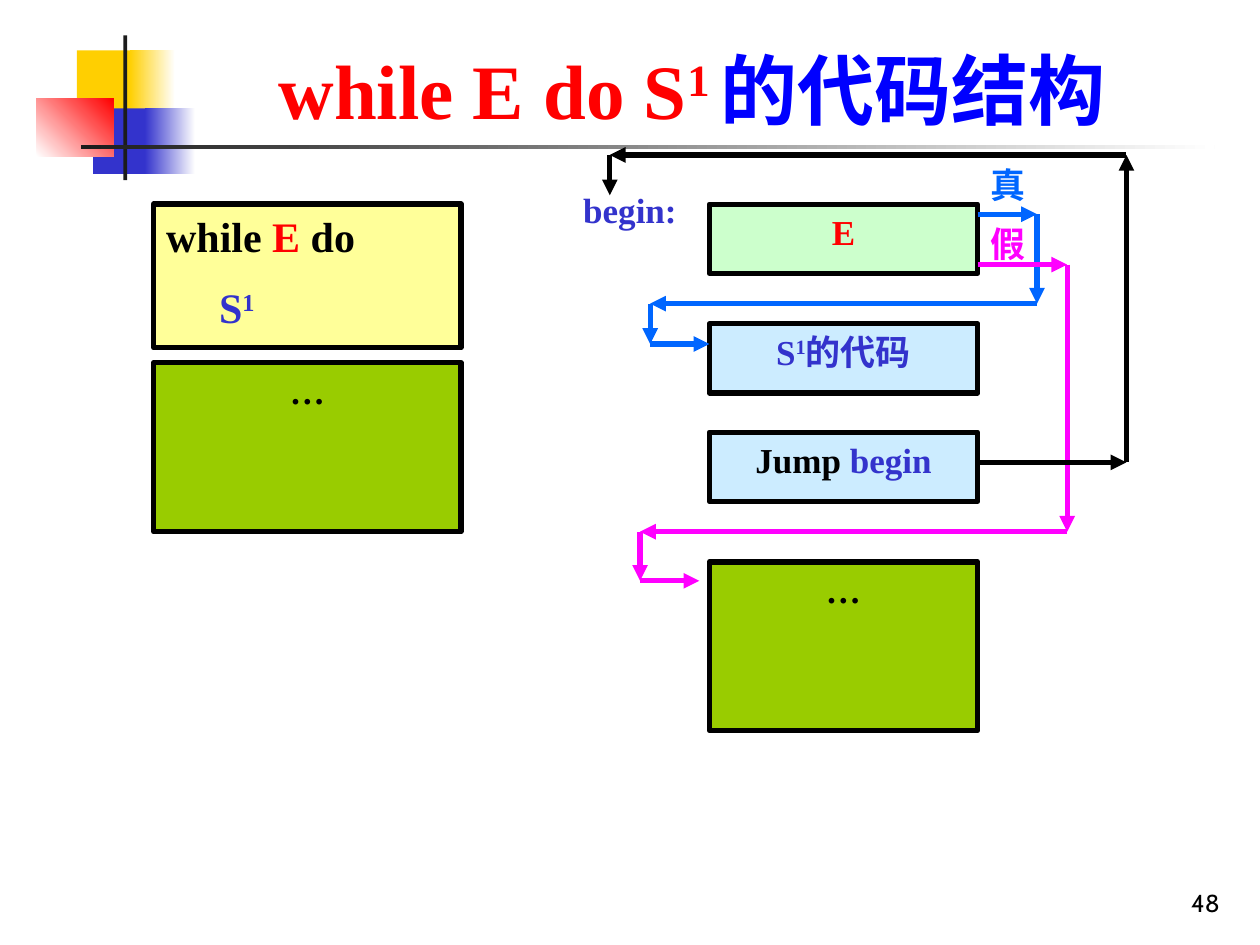
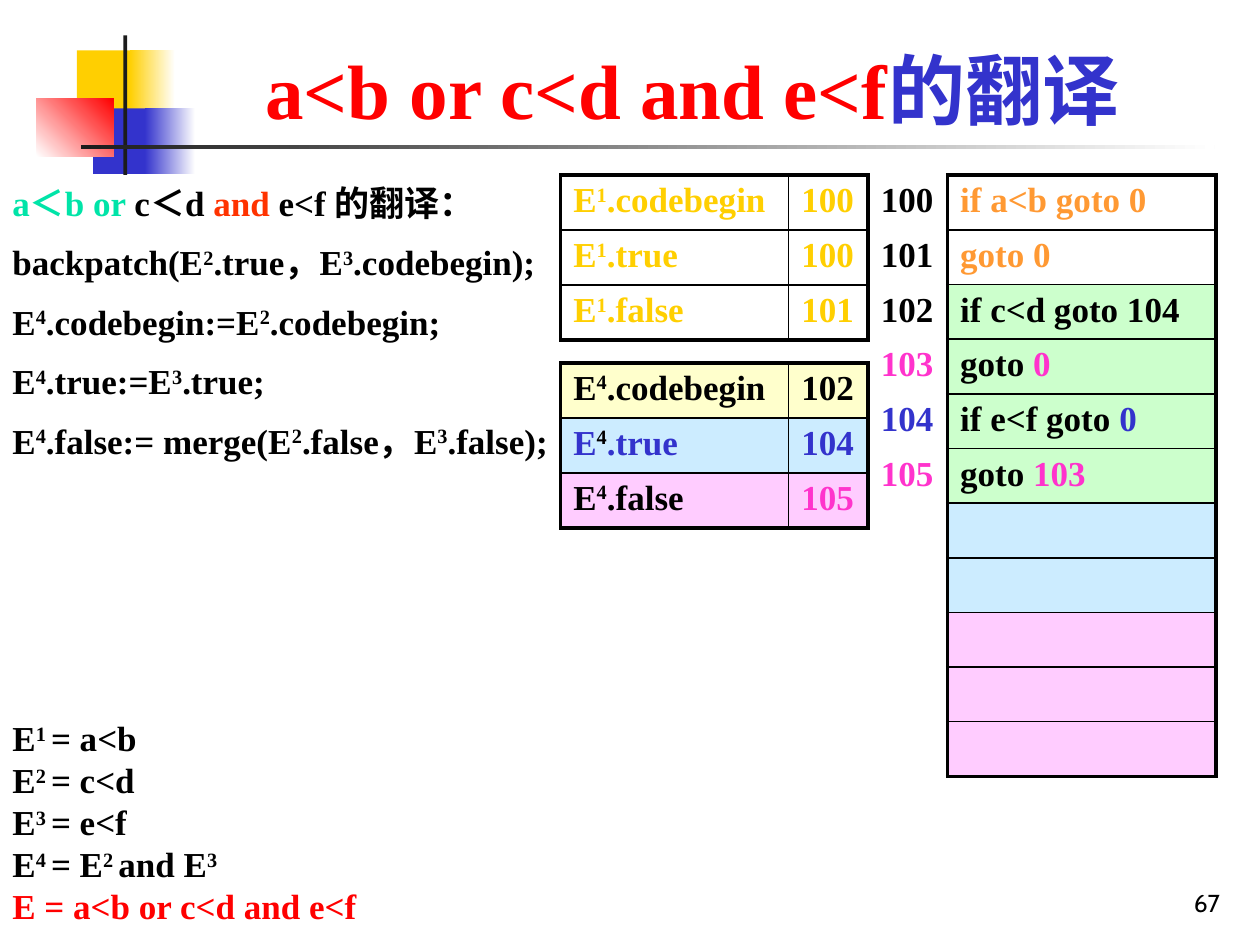
from dataclasses import dataclass, field
from itertools import pairwise

from lxml.etree import SubElement
from pptx import Presentation
from pptx.dml.color import RGBColor
from pptx.enum.shapes import MSO_CONNECTOR, MSO_SHAPE
from pptx.enum.text import MSO_ANCHOR, PP_ALIGN
from pptx.oxml.ns import qn
from pptx.util import Inches, Pt


@dataclass(frozen=True)
class Theme:
    """Colours, fonts, type sizes and line widths."""
    ink: dict[str, str] = field(default_factory=lambda: {
        "black": "000000", "white": "FFFFFF", "coal": "1C1C1C",
        "red": "FF0000", "flame": "FF3300", "blue": "3333CC",
        "bright": "0000FF", "sky": "0066FF", "pink": "FF00FF",
        "rose": "FF33CC", "gold": "FFCF01", "orange": "FF9933",
        "mint": "00E4A8", "grass": "99CC00", "lemon": "FFFF99",
        "cream": "FFFFCC", "ice": "CCECFF", "leaf": "CCFFCC",
        "blush": "FFCCFF"})
    serif: str = "Times New Roman"
    sans: str = "Cabin"
    title: int = 44
    code: int = 24
    body: int = 20
    page: int = 14
    thick: float = 3
    frame: float = 2.25
    thin: float = 1


THEME = Theme()


@dataclass(frozen=True)
class Area:
    """A place on the slide, in inches."""
    left: float
    top: float
    width: float
    height: float

    def emu(self) -> list:
        """Give the place as lengths."""
        return [Inches(v) for v in (self.left, self.top, self.width, self.height)]


@dataclass(frozen=True)
class Style:
    """How a piece of text is set."""
    size: int = THEME.body
    align: PP_ALIGN = PP_ALIGN.LEFT
    anchor: MSO_ANCHOR = MSO_ANCHOR.TOP
    font: str = THEME.serif
    bold: bool = True
    wrap: bool = True
    gap: float = 0
    hang: float = 0
    steps: tuple = ()


@dataclass(frozen=True)
class Band:
    """A plain or fading bar of the backdrop."""
    area: Area
    start: str
    end: str = ""
    angle: int = 0


@dataclass(frozen=True)
class Block:
    """A framed box of code."""
    area: Area
    fill: str
    lines: tuple[str, ...]
    style: Style


@dataclass(frozen=True)
class Route:
    """A chain of arrows through points."""
    ink: str
    points: tuple[tuple[float, float], ...]


@dataclass(frozen=True)
class Row:
    """A table row: one fill and text per column."""
    fills: tuple[str, ...]
    texts: tuple[str, ...]


@dataclass(frozen=True)
class Grid:
    """A table whose frame starts at one column."""
    area: Area
    widths: tuple[float, ...]
    rows: tuple[Row, ...]
    first: int = 0


MID = Style(align=PP_ALIGN.CENTER)
TAG = Style(align=PP_ALIGN.CENTER, anchor=MSO_ANCHOR.MIDDLE, wrap=False)
HEAD = Style(THEME.title, PP_ALIGN.CENTER, MSO_ANCHOR.BOTTOM)
PAGE = Style(THEME.page, PP_ALIGN.RIGHT, MSO_ANCHOR.BOTTOM, THEME.sans, False)

BANDS = (
    Band(Area(0.61, 0.4, 0.48, 0.52), "gold"),
    Band(Area(1.03, 0.4, 0.36, 0.52), "gold", "white"),
    Band(Area(0.74, 0.86, 0.46, 0.52), "blue"),
    Band(Area(1.15, 0.86, 0.4, 0.52), "blue", "white"),
    Band(Area(0.29, 0.78, 0.61, 0.46), "white", "red", 45),
    Band(Area(0.98, 0.28, 0.03, 1.15), "coal"),
    Band(Area(0.64, 1.15, 9, 0.03), "coal", "white"),
)

BLOCKS = (
    Block(Area(5.63, 2.57, 2.13, 0.55), "ice", ("{blue}S^1^的代码",), MID),
    Block(Area(5.63, 1.62, 2.13, 0.55), "leaf", ("{red}E",), MID),
    Block(Area(5.63, 3.43, 2.13, 0.55), "ice", ("{black}Jump {blue}begin",), MID),
    Block(Area(1.22, 1.62, 2.44, 1.14), "lemon",
          ("{black}while {red}E {black}do", "{blue}S^1^"),
          Style(THEME.code, gap=12, steps=(0, 0.42))),
    Block(Area(5.63, 4.46, 2.13, 1.34), "grass", ("{black}…",), MID),
    Block(Area(1.22, 2.88, 2.44, 1.34), "grass", ("{black}…",), MID),
)

ROUTES = (
    Route("sky", ((7.76, 1.7), (8.23, 1.7), (8.23, 2.41), (5.16, 2.41),
                  (5.16, 2.73), (5.63, 2.73))),
    Route("pink", ((7.76, 2.1), (8.47, 2.1), (8.47, 4.22), (5.08, 4.22),
                   (5.08, 4.61), (5.55, 4.61))),
    Route("black", ((7.76, 3.67), (8.94, 3.67), (8.94, 1.23), (4.84, 1.23),
                    (4.84, 1.55))),
)

TAGS = (
    ("{blue}begin:", Area(4.53, 1.39, 0.94, 0.55)),
    ("{sky}真", Area(7.76, 1.23, 0.47, 0.47)),
    ("{pink}假", Area(7.76, 1.7, 0.47, 0.47)),
)

RULES = (
    "{mint}a＜b or {black}c＜d {flame}and {black}e<f 的翻译：",
    "{black}backpatch(E^2^.true，E^3^.codebegin);",
    "{black}E^4^.codebegin:=E^2^.codebegin;",
    "{black}E^4^.true:=E^3^.true;",
    "{black}E^4^.false:= merge(E^2^.false，E^3^.false);",
)

TERMS = (
    "{black}E^1 ^= a<b", "{black}E^2 ^= c<d", "{black}E^3 ^= e<f",
    "{black}E^4 ^= E^2 ^and E^3^", "{red}E = a<b or c<d and e<f",
)

CODE = (
    ("white", "{black}100", "{orange}if a<b goto 0"),
    ("white", "{black}101", "{orange}goto 0"),
    ("leaf", "{black}102", "{black}if c<d goto 104"),
    ("leaf", "{rose}103", "{black}goto {rose}0"),
    ("leaf", "{blue}104", "{black}if e<f goto {blue}0"),
    ("leaf", "{rose}105", "{black}goto {rose}103"),
    *(("ice", "", ""),) * 2,
    *(("blush", "", ""),) * 3,
)

PAIR = (1.81, 0.63)
GRIDS = (
    Grid(Area(6.89, 1.39, 2.76, 4.77), (0.63, 2.13),
         tuple(Row(("white", fill), (spot, text)) for fill, spot, text in CODE), 1),
    Grid(Area(4.45, 1.39, 2.44, 1.31), PAIR, tuple(
        Row(("white",) * 2, (f"{{gold}}E^1^.{name}", f"{{gold}}{spot}"))
        for name, spot in (("codebegin", 100), ("true", 100), ("false", 101)))),
    Grid(Area(4.45, 2.88, 2.44, 1.31), PAIR, (
        Row(("cream",) * 2, ("{black}E^4^.codebegin", "{black}102")),
        Row(("ice",) * 2, ("{blue}E{black}^4^{blue}.true", "{blue}104")),
        Row(("blush",) * 2, ("{black}E^4^.false", "{rose}105")))),
)


def tint(name: str) -> RGBColor:
    """Look up a colour of the theme."""
    return RGBColor.from_string(THEME.ink[name])


def write(frame, lines: tuple[str, ...], style: Style) -> None:
    """Set lines where {name} picks a colour and ^n^ is raised."""
    for i, line in enumerate(lines):
        para = frame.paragraphs[0] if i == 0 else frame.add_paragraph()
        para.alignment = style.align
        if i and style.gap:
            para.space_before = Pt(style.gap)
        step = style.steps[i] if style.steps else style.hang
        if step:
            props = para._p.get_or_add_pPr()
            props.set("marL", str(Inches(step)))
            props.set("indent", str(-Inches(style.hang)))
        font = para.font
        font.name, font.size, font.bold = style.font, Pt(style.size), style.bold
        parts = [part.split("}") for part in line.split("{")[1:]]
        if len(parts) == 1:
            font.color.rgb = tint(parts[0][0])
        for ink, words in parts:
            for j, word in enumerate(words.split("^")):
                if not word:
                    continue
                run = para.add_run()
                run.text = word
                if len(parts) > 1:
                    run.font.color.rgb = tint(ink)
                if j % 2:
                    run._r.get_or_add_rPr().set("baseline", "30000")


def add_text(slide, area: Area, lines: tuple[str, ...], style: Style) -> None:
    """Place a text box."""
    frame = slide.shapes.add_textbox(*area.emu()).text_frame
    frame.word_wrap = style.wrap
    frame.vertical_anchor = style.anchor
    write(frame, lines, style)


def add_rect(slide, area: Area, fill: str):
    """Place a flat rectangle."""
    shape = slide.shapes.add_shape(MSO_SHAPE.RECTANGLE, *area.emu())
    shape.shadow.inherit = False
    shape.line.fill.background()
    shape.fill.solid()
    shape.fill.fore_color.rgb = tint(fill)
    return shape


def add_band(slide, band: Band) -> None:
    """Place a bar of the backdrop."""
    fill = add_rect(slide, band.area, band.start).fill
    if band.end:
        fill.gradient()
        fill.gradient_angle = band.angle
        for stop, ink in zip(fill.gradient_stops, (band.start, band.end)):
            stop.color.rgb = tint(ink)


def add_block(slide, block: Block) -> None:
    """Place a framed box with its text."""
    shape = add_rect(slide, block.area, block.fill)
    shape.line.color.rgb = tint("black")
    shape.line.width = Pt(THEME.thick)
    shape.text_frame.word_wrap = True
    shape.text_frame.vertical_anchor = MSO_ANCHOR.TOP
    write(shape.text_frame, block.lines, block.style)


def add_route(slide, route: Route) -> None:
    """Join each two points with an arrow."""
    for start, end in pairwise(route.points):
        ends = [Inches(v) for v in (*start, *end)]
        arrow = slide.shapes.add_connector(MSO_CONNECTOR.STRAIGHT, *ends)
        arrow.line.color.rgb = tint(route.ink)
        arrow.line.width = Pt(THEME.thick)
        SubElement(arrow.line._get_or_add_ln(), qn("a:tailEnd"), type="triangle")
        SubElement(arrow._element.spPr, qn("a:effectLst"))


def add_edge(cell, side: str, width: float) -> None:
    """Draw one border of a cell."""
    line = SubElement(cell._tc.get_or_add_tcPr(), qn(f"a:ln{side}"), w=str(Pt(width)))
    fill = SubElement(line, qn("a:solidFill"))
    SubElement(fill, qn("a:srgbClr"), val=THEME.ink["black"])


def add_grid(slide, grid: Grid) -> None:
    """Place a table with a thick frame and thin inner lines."""
    tall, wide = len(grid.rows), len(grid.widths)
    table = slide.shapes.add_table(tall, wide, *grid.area.emu()).table
    table.first_row = table.horz_banding = False
    for col, width in zip(table.columns, grid.widths):
        col.width = Inches(width)
    for y, row in enumerate(grid.rows):
        table.rows[y].height = Inches(grid.area.height / tall)
        for x, (fill, text) in enumerate(zip(row.fills, row.texts)):
            cell = table.cell(y, x)
            edges = {"L": x == grid.first, "R": x in (grid.first - 1, wide - 1),
                     "T": y == 0, "B": y == tall - 1}
            for side, outer in edges.items():
                if x >= grid.first or side == "R":
                    add_edge(cell, side, THEME.frame if outer else THEME.thin)
            cell.fill.solid()
            cell.fill.fore_color.rgb = tint(fill)
            if text:
                write(cell.text_frame, (text,), Style())


def add_page(deck, title: str, number: int):
    """Add a slide with backdrop, title and number."""
    slide = deck.slides.add_slide(deck.slide_layouts[6])
    for band in BANDS:
        add_band(slide, band)
    add_text(slide, Area(7.7, 6.83, 2.08, 0.5), (f"{{black}}{number}",), PAGE)
    add_text(slide, Area(1.22, 0.36, 8.55, 0.76), (title,), HEAD)
    return slide


def main() -> None:
    """Build and save the deck."""
    deck = Presentation()
    deck.slide_width, deck.slide_height = Inches(10), Inches(7.5)

    loop = add_page(deck, "{red}while E do S^1 ^{bright}的代码结构", 48)
    for block in BLOCKS:
        add_block(loop, block)
    for route in ROUTES:
        add_route(loop, route)
    for text, area in TAGS:
        add_text(loop, area, (text,), TAG)

    logic = add_page(deck, "{red}a<b or c<d and e<f{blue}的翻译", 67)
    panel = add_rect(logic, Area(0, 1.39, 4.53, 2.44), "white").text_frame
    panel.word_wrap = True
    panel.vertical_anchor = MSO_ANCHOR.TOP
    write(panel, RULES, Style(gap=10, hang=0.38))
    for grid in GRIDS:
        add_grid(logic, grid)
    add_text(logic, Area(0, 5.64, 3.54, 1.78), TERMS, Style())
    deck.save("out.pptx")


if __name__ == "__main__":
    main()
